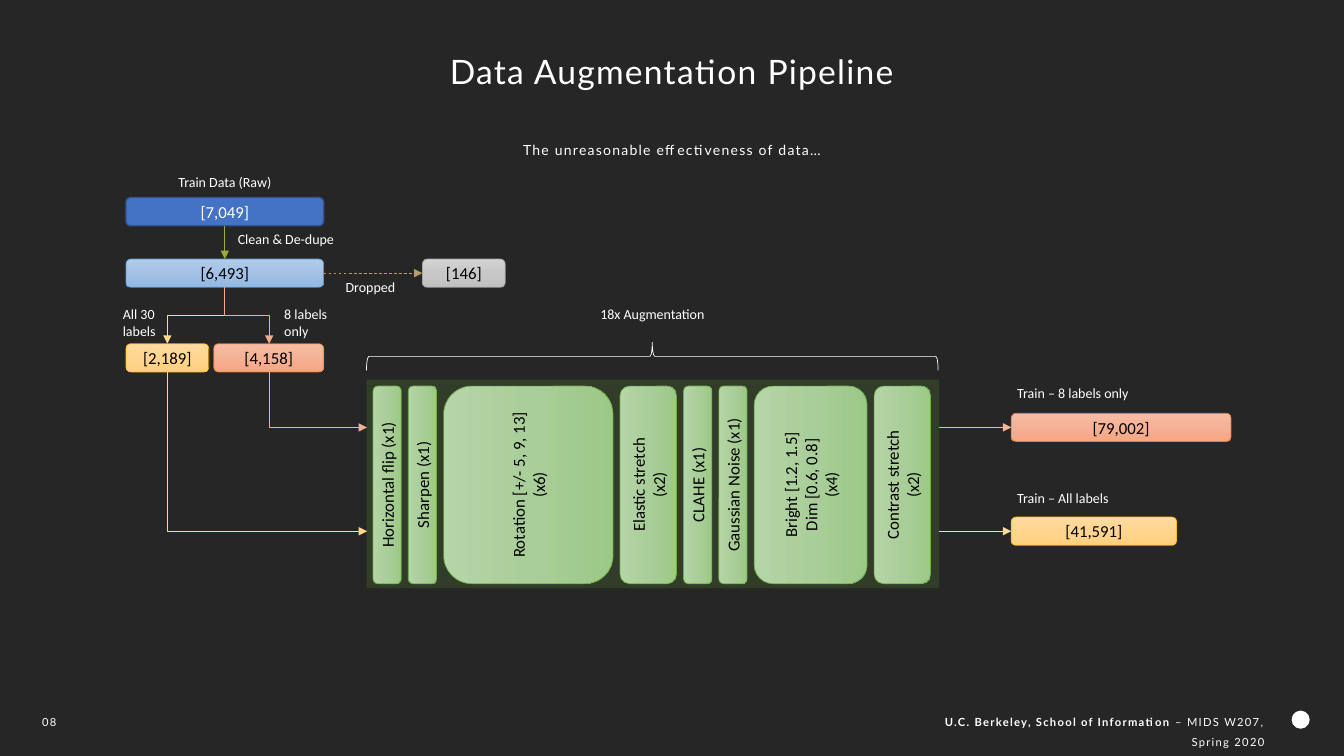
from lxml import etree
from pptx import Presentation
from pptx.dml.color import RGBColor
from pptx.enum import dml, shapes, text
from pptx.oxml import parse_xml
from pptx.oxml.ns import nsdecls, qn
from pptx.util import Inches, Pt

# ---- Content ----
TITLE = "Data Augmentation Pipeline"
SUBTITLE = "The unreasonable effectiveness of data…"
FOOTER = [("U.C. Berkeley, School of Information ", True),
          ("– MIDS W207, Spring 2020", False)]
PAGE_NUMBER = "08"

# Gradient stops, then outline
STYLES = {
    "blue": (("B1CBE9", "A3C1E5", "93B9E4"), "5B9BD5"),
    "grey": (("D2D2D2", "C8C8C8", "C0C0C0"), "A5A5A5"),
    "gold": (("FFDB9E", "FFD590", "FFD07C"), "FFC000"),
    "coral": (("F7BDA5", "F5B196", "F8A582"), "ED7D31"),
    "green": (("B5D5A7", "AACE9A", "9CC987"), "70AD47"),
}
# name: (text, style, left, top, width)
COUNTS = {
    "clean": ("[6,493]", "blue", 1.25, 2.57, 1.96),
    "dropped": ("[146]", "grey", 4.19, 2.57, 0.82),
    "all labels": ("[2,189]", "gold", 1.25, 3.41, 0.82),
    "8 labels": ("[4,158]", "coral", 2.12, 3.41, 1.09),
    "8 labels out": ("[79,002]", "coral", 10.03, 4.1, 2.18),
    "all labels out": ("[41,591]", "gold", 10.03, 5.13, 1.64),
}
# Step text and how many variants it yields; the width follows the number
STEPS = [
    ("Horizontal flip (x1)", 1), ("Sharpen (x1)", 1),
    ("Rotation [+/- 5, 9, 13]\v(x6)", 6), ("Elastic stretch\n(x2)", 2),
    ("CLAHE (x1)", 1), ("Gaussian Noise (x1)", 1),
    ("Bright [1.2, 1.5]\nDim [0.6, 0.8]\n(x4)", 4),
    ("Contrast stretch\v(x2)", 2),
]
CENTER, LEFT, RIGHT = text.PP_ALIGN.CENTER, text.PP_ALIGN.LEFT, text.PP_ALIGN.RIGHT
LABELS = [  # text, left, top, width, height, alignment
    ("Train Data (Raw)", 1.25, 1.67, 1.96, 0.27, CENTER),
    ("Clean & De-dupe", 2.26, 2.24, 1.28, 0.27, LEFT),
    ("Dropped", 3.33, 2.71, 0.86, 0.27, LEFT),
    ("All 30 labels", 1.12, 2.98, 0.53, 0.44, LEFT),
    ("8 labels only", 2.72, 2.98, 0.68, 0.44, LEFT),
    ("18x Augmentation", 5.49, 2.98, 1.96, 0.27, CENTER),
    ("Train – 8 labels only", 9.99, 3.77, 1.96, 0.27, LEFT),
    ("Train – All labels", 9.99, 4.81, 1.96, 0.27, LEFT),
]
BAR, LENGTH, GAP = 0.28, 1.96, 0.07
PANEL = (3.64, 3.77, 5.67, 2.06)
UPPER, LOWER = 4.24, 5.27  # heights of the two data streams

deck = Presentation()
deck.slide_width, deck.slide_height = Inches(13.33), Inches(7.5)
page = deck.slides.add_slide(deck.slide_layouts[5])


# ---- Helpers ----
def rgb(code):
    return RGBColor.from_string(code)


def paint_background(code):
    page.background.fill.solid()
    page.background.fill.fore_color.rgb = rgb(code)


def style_font(font, size, color, name):
    font.size, font.name = Pt(size), name
    font.color.rgb = rgb(color)


def add_shape(kind, left, top, width, height, fill=None, line=None, weight=0.5):
    shape = page.shapes.add_shape(kind, *map(Inches, (left, top, width, height)))
    shape.shadow.inherit = False
    if fill:
        shape.fill.solid()
        shape.fill.fore_color.rgb = rgb(fill)
    else:
        shape.fill.background()
    if line:
        shape.line.color.rgb = rgb(line)
        shape.line.width = Pt(weight)
    else:
        shape.line.fill.background()
    return shape


def fill_gradient(shape, colors):
    stops = "".join(f'<a:gs pos="{i * 50000}"><a:srgbClr val="{c}"/></a:gs>'
                    for i, c in enumerate(colors))
    gradient = parse_xml(f'<a:gradFill rotWithShape="1" {nsdecls("a")}><a:gsLst>{stops}'
                         '</a:gsLst><a:lin ang="5400000" scaled="0"/></a:gradFill>')
    old = shape._element.spPr.find(qn("a:noFill"))
    old.getparent().replace(old, gradient)


def write(shape, words, size, color, name, align):
    frame = shape.text_frame
    frame.word_wrap = True
    frame.text = words
    for para in frame.paragraphs:
        para.alignment = align
        style_font(para.font, size, color, name)


def add_box(words, style, left, top, width, height=BAR):
    colors, outline = STYLES[style]
    box = add_shape(shapes.MSO_SHAPE.ROUNDED_RECTANGLE, left, top, width, height,
                    line=outline)
    fill_gradient(box, colors)
    write(box, words, 12, "000000", "Calibri", CENTER)
    box.text_frame.vertical_anchor = text.MSO_ANCHOR.MIDDLE
    return box


def add_textbox(words, left, top, width, height, align, size=10, name="Calibri"):
    box = page.shapes.add_textbox(*map(Inches, (left, top, width, height)))
    write(box, words, size, "FFFFFF", name, align)
    return box


def space_out(frame):
    """Wide line and letter spacing for the Lato texts."""
    for para in frame.paragraphs:
        para.line_spacing = 1.5
        for span in para.runs:
            span._r.get_or_add_rPr().set("spc", "90")


def add_arrow(start, end, color, kind=shapes.MSO_CONNECTOR.STRAIGHT):
    arrow = page.shapes.add_connector(kind, *map(Inches, (*start, *end)))
    arrow.line.color.rgb = rgb(color)
    arrow.line.width = Pt(0.5)
    etree.SubElement(arrow.line._get_or_add_ln(), qn("a:tailEnd"), type="triangle")
    etree.SubElement(arrow._element.spPr, qn("a:effectLst"))
    return arrow


def add_elbow(start, end, color, preset):
    """Elbow arrow that leaves downwards: a turned connector box."""
    arrow = add_arrow(start, end, color, shapes.MSO_CONNECTOR.ELBOW)
    (x1, y1), (x2, y2) = start, end
    width, height = y2 - y1, abs(x2 - x1)
    arrow.left = Inches((x1 + x2 - width) / 2)
    arrow.top = Inches((y1 + y2 - height) / 2)
    arrow.width, arrow.height = Inches(width), Inches(height)
    frame = arrow._element.spPr.find(qn("a:xfrm"))
    frame.attrib.pop("flipH", None)
    if x2 > x1:
        frame.set("flipH", "1")
    frame.set("rot", str((270 if x2 > x1 else 90) * 60000))
    arrow._element.spPr.find(qn("a:prstGeom")).set("prst", preset)


# ---- Title, subtitle, footer ----
paint_background("262626")
title = page.shapes.title
title.left, title.top, title.width, title.height = map(Inches, (4.11, 0.25, 5.11, 0.64))
write(title, TITLE, 24, "FFFFFF", "Lato", CENTER)
title.text_frame.word_wrap = False
title.text_frame.vertical_anchor = text.MSO_ANCHOR.TOP
subtitle = add_textbox(SUBTITLE, 3.3, 1.27, 6.73, 0.32, CENTER, name="Lato")
number = add_textbox(PAGE_NUMBER, 0.32, 6.98, 0.4, 0.28, LEFT, 8, "Lato")
footer = add_textbox("", 8.87, 6.98, 3.77, 0.28, RIGHT, 8, "Lato")
for words, bold in FOOTER:
    span = footer.text_frame.paragraphs[0].add_run()
    span.text, span.font.bold = words, bold
for box in (title, subtitle, number, footer):
    space_out(box.text_frame)
add_shape(shapes.MSO_SHAPE.OVAL, 12.81, 7.05, 0.18, 0.18, "FFFFFF")

# ---- Augmentation panel with its steps and brace ----
panel = add_shape(shapes.MSO_SHAPE.RECTANGLE, *PANEL, "548235", "385723", 1)
for color in panel._element.spPr.iter(qn("a:srgbClr")):
    etree.SubElement(color, qn("a:alpha"), val="25000")
left, middle = PANEL[0] + 0.06, PANEL[1] + PANEL[3] / 2 + 0.01
for words, variants in STEPS:
    width = BAR * variants
    step = add_box(words, "green", left + (width - LENGTH) / 2, middle - width / 2,
                   LENGTH, width)
    step.rotation = 270
    left += width + GAP
brace = add_shape(shapes.MSO_SHAPE.RIGHT_BRACE, 6.33, 0.7, BAR, PANEL[2], line="FFFFFF")
brace.rotation = 270

# ---- Data counts and labels ----
raw = add_shape(shapes.MSO_SHAPE.ROUNDED_RECTANGLE, 1.25, 1.96, 1.96, BAR,
                "4472C4", "325491", 1)
write(raw, "[7,049]", 12, "FFFFFF", "Calibri", CENTER)
raw.text_frame.vertical_anchor = text.MSO_ANCHOR.MIDDLE
boxes = {name: add_box(*count) for name, count in COUNTS.items()}
for label in LABELS:
    add_textbox(*label)

# ---- Arrows ----
cleaning = add_arrow((2.23, 2.24), (2.23, 2.57), "9DAD33")
cleaning.begin_connect(raw, 2)
cleaning.end_connect(boxes["clean"], 0)
dropping = add_arrow((3.21, 2.71), (4.19, 2.71), "BC9B6A")
dropping.line.dash_style = dml.MSO_LINE.DASH
dropping.begin_connect(boxes["clean"], 3)
dropping.end_connect(boxes["dropped"], 1)
for name, x, y, split, feed, out in (
        ("all labels out", 1.66, LOWER, "FFD993", "FFD78D", "FFDA96"),
        ("8 labels out", 2.67, UPPER, "F7AB8B", "F5AF92", "F6B499")):
    add_elbow((2.23, 2.85), (x, 3.41), split, "bentConnector3")
    add_elbow((x, 3.69), (PANEL[0], y), feed, "bentConnector2")
    result = add_arrow((PANEL[0] + PANEL[2], y), (10.03, y), out)
    result.end_connect(boxes[name], 1)

deck.save("out.pptx")
